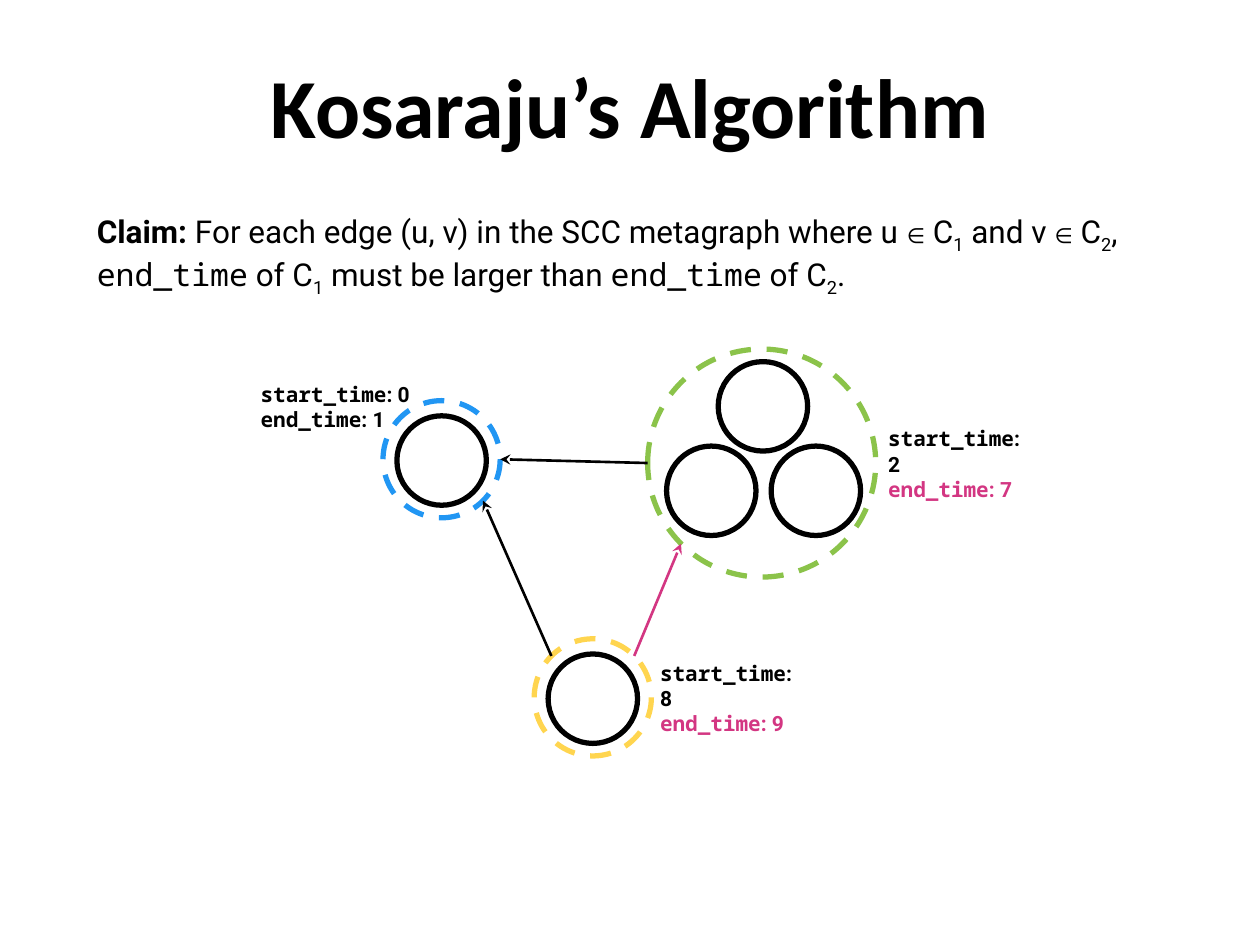
import math
from lxml import etree
from pptx import Presentation, util as u
from pptx.dml.color import RGBColor
from pptx.enum import dml, shapes, text
from pptx.oxml.ns import qn

THEME = {
    "black": "000000", "white": "FFFFFF", "accent": "D33682",
    "blue": "2196F3", "yellow": "FFD54F", "green": "8BC34A",
    "title": "Calibri", "body": "Roboto", "code": "Noto Sans Mono",
    "title_size": 48, "body_size": 18, "symbol_size": 12, "label_size": 12,
    "outline": 3, "edge": 1.5,
}

# Content: claim runs are (text, style)
TITLE = "Kosaraju’s Algorithm"
CLAIM = [
    ("Claim:", "bold"), (" For each edge (u, v) in the SCC metagraph where u ", ""),
    ("∈", "symbol"), (" C", ""), ("1", "sub"), (" and v ", ""),
    ("∈", "symbol"), (" C", ""), ("2", "sub"), (", ", ""),
    ("end_time", "code"), (" of C", ""), ("1", "sub"),
    (" must be larger than ", ""), ("end_time", "code"),
    (" of C", ""), ("2", "sub"), (".", ""),
]
NODE_SIZE = 0.71
NODES = [(6.475, 3.895), (5.645, 3.895), (4.705, 5.545), (6.055, 3.225), (3.505, 3.655)]
# Components: centre x, centre y, diameter, colour
COMPONENTS = {
    "sink": (3.505, 3.645, 0.93, "blue"),
    "source": (4.705, 5.535, 0.93, "yellow"),
    "triple": (6.045, 3.675, 1.81, "green"),
}
# Edges: component and angle (clockwise from the right) at each end, colour
EDGES = [
    ("triple", 180, "sink", 0, "black"),
    ("source", 225, "sink", 45, "black"),
    ("source", 315, "triple", 135, "accent"),
]
# Labels: left, top, width, start, end, colour of the end time
LABELS = [
    (5.14, 5.26, 1.38, 8, 9, "accent"),
    (6.95, 3.4, 1.38, 2, 7, "accent"),
    (1.97, 2.95, 1.41, 0, 1, "black"),
]
LABEL_HEIGHT = 0.56


def color(name):
    return RGBColor.from_string(THEME[name])


def add_text_box(left, top, width, height, anchor=text.MSO_ANCHOR.TOP):
    frame = slide.shapes.add_textbox(*map(u.Inches, (left, top, width, height))).text_frame
    frame.word_wrap = True
    frame.vertical_anchor = anchor
    frame.margin_left = frame.margin_right = u.Inches(0.1)
    frame.margin_top = frame.margin_bottom = u.Inches(0.1)
    return frame


def add_run(paragraph, words, font, size, bold=False, fill="black"):
    run = paragraph.add_run()
    run.text = words
    run.font.name = THEME[font]
    run.font.size = u.Pt(THEME[size])
    run.font.bold = bold
    run.font.color.rgb = color(fill)
    return run


def add_circle(x, y, size, line, filled):
    box = (x - size / 2, y - size / 2, size, size)
    shape = slide.shapes.add_shape(shapes.MSO_SHAPE.OVAL, *map(u.Inches, box))
    shape.shadow.inherit = False
    shape.line.color.rgb = color(line)
    shape.line.width = u.Pt(THEME["outline"])
    if filled:
        shape.fill.solid()
        shape.fill.fore_color.rgb = color("white")
    else:
        shape.fill.background()
        shape.line.dash_style = dml.MSO_LINE.DASH


def rim_point(component, angle):
    x, y, size, _ = COMPONENTS[component]
    turn = math.radians(angle)
    return (u.Inches(x + size / 2 * math.cos(turn)), u.Inches(y + size / 2 * math.sin(turn)))


def add_edge(start, start_angle, end, end_angle, line):
    connector = slide.shapes.add_connector(
        shapes.MSO_CONNECTOR.STRAIGHT,
        *rim_point(start, start_angle), *rim_point(end, end_angle))
    connector.line.color.rgb = color(line)
    connector.line.width = u.Pt(THEME["edge"])
    properties = connector._element.spPr
    etree.SubElement(properties.find(qn("a:ln")), qn("a:tailEnd"), type="stealth")
    etree.SubElement(properties, qn("a:effectLst"))


presentation = Presentation()
presentation.slide_width, presentation.slide_height = u.Inches(10), u.Inches(7.5)
slide = presentation.slides.add_slide(presentation.slide_layouts[6])

# Claim
paragraph = add_text_box(0.67, 1.58, 8.67, 5.92).paragraphs[0]
for words, style in CLAIM:
    run = add_run(paragraph, words, "code" if style == "code" else "body",
                  "symbol_size" if style == "symbol" else "body_size", style == "bold")
    if style == "sub":
        run.font._element.set("baseline", "-25000")

# Title
paragraph = add_text_box(0, 0.33, 10, 1.25).paragraphs[0]
paragraph.alignment = text.PP_ALIGN.CENTER
add_run(paragraph, TITLE, "title", "title_size", True)

# Graph: nodes, component outlines, edges
for x, y in NODES:
    add_circle(x, y, NODE_SIZE, "black", True)
for x, y, size, line in COMPONENTS.values():
    add_circle(x, y, size, line, False)
for edge in EDGES:
    add_edge(*edge)

# Start and end times
for left, top, width, start, end, end_color in LABELS:
    frame = add_text_box(left, top, width, LABEL_HEIGHT, text.MSO_ANCHOR.MIDDLE)
    rows = [("start_time", start, "black"), ("end_time", end, end_color)]
    for paragraph, (name, value, fill) in zip((frame.paragraphs[0], frame.add_paragraph()), rows):
        add_run(paragraph, name, "code", "label_size", True, fill)
        add_run(paragraph, f": {value}", "body", "label_size", True, fill)

presentation.save("out.pptx")
